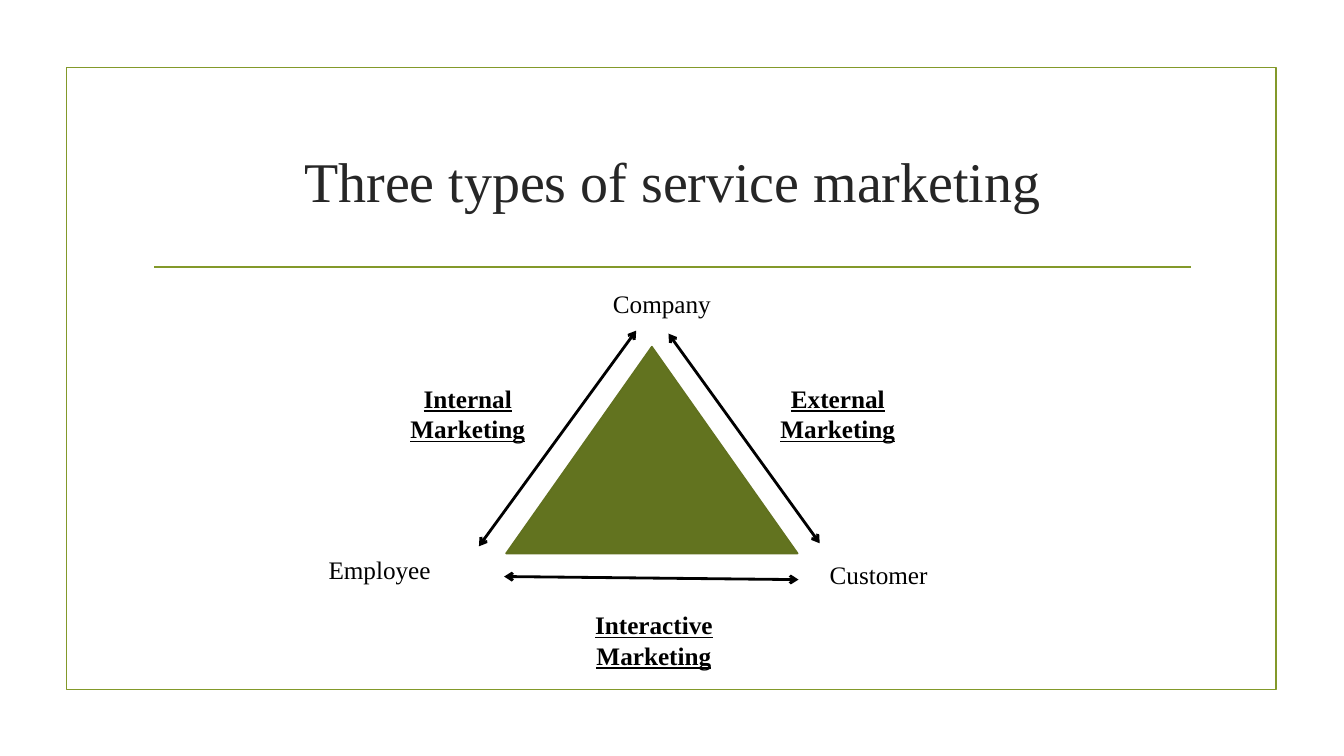
from lxml import etree
from pptx import Presentation
from pptx.dml.color import RGBColor
from pptx.enum.shapes import MSO_CONNECTOR, MSO_SHAPE
from pptx.enum.text import MSO_ANCHOR, PP_ALIGN
from pptx.oxml.ns import qn
from pptx.util import Inches, Pt

STRAIGHT = MSO_CONNECTOR.STRAIGHT
RECTANGLE = MSO_SHAPE.RECTANGLE
TRIANGLE = MSO_SHAPE.ISOSCELES_TRIANGLE
MIDDLE = MSO_ANCHOR.MIDDLE
CENTER, LEFT = PP_ALIGN.CENTER, PP_ALIGN.LEFT

FONT = "Times New Roman"
COLORS = {"accent": "83992A", "triangle": "62731F", "edge": "61711F",
          "title": "262626", "ink": "000000"}
TITLE = "Three types of service marketing"
PARTIES = [
    ("Company", 5.71, 2.81, 1.71, CENTER),
    ("Customer", 8.13, 5.5, 1.62, LEFT),
    ("Employee", 3.16, 5.45, 1.59, LEFT),
]
MARKETING_TYPES = [
    ("External Marketing", 7.43, 3.75, 1.76),
    ("Internal Marketing", 3.86, 3.75, 1.56),
    ("Interactive Marketing", 5.39, 6, 2.19),
]
ARROWS = [
    (6.63, 3.31, 8.13, 5.39),
    (6.31, 3.28, 4.75, 5.42),
    (5, 5.72, 7.92, 5.75),
]
PARTY_HEIGHT, TYPE_HEIGHT = 0.4, 0.71


def color(name):
    return RGBColor.from_string(COLORS[name])


def inches(*lengths):
    return [Inches(length) for length in lengths]


def set_font(para, size, ink):
    para.font.name = FONT
    para.font.size = Pt(size)
    para.font.color.rgb = color(ink)


def add_outline(page, kind, place, line, fill=None):
    shape = page.shapes.add_shape(kind, *inches(*place))
    shape.shadow.inherit = False
    if fill:
        shape.fill.solid()
        shape.fill.fore_color.rgb = color(fill)
    else:
        shape.fill.background()
    shape.line.color.rgb = color(line)
    shape.line.width = Pt(1.25)


def add_line(page, ends, ink, width, arrows=False):
    line = page.shapes.add_connector(STRAIGHT, *inches(*ends))
    line.line.color.rgb = color(ink)
    line.line.width = Pt(width)
    if arrows:
        outline = line.line._get_or_add_ln()
        for end in ("a:headEnd", "a:tailEnd"):
            etree.SubElement(outline, qn(end), type="arrow")
    etree.SubElement(line._element.spPr, qn("a:effectLst"))


def add_label(page, text, place, align, strong=False):
    box = page.shapes.add_textbox(*inches(*place))
    box.text_frame.word_wrap = True
    para = box.text_frame.paragraphs[0]
    para.text = text
    para.alignment = align
    set_font(para, 18, "ink")
    if strong:
        para.font.bold = True
        para.font.underline = True


def add_title(page):
    title = page.shapes.title
    title.left, title.top, title.width, title.height = inches(1.42, 1.07, 10.5, 1.43)
    title.text_frame.vertical_anchor = MIDDLE
    para = title.text_frame.paragraphs[0]
    para.text = TITLE
    para.alignment = CENTER
    set_font(para, 40, "title")


def main():
    deck = Presentation()
    deck.slide_width, deck.slide_height = inches(13.33, 7.5)
    page = deck.slides.add_slide(deck.slide_layouts.get_by_name("Title Only"))
    add_title(page)
    add_outline(page, RECTANGLE, (0.66, 0.67, 12, 6.17), "accent")
    add_line(page, (1.53, 2.65, 11.81, 2.65), "accent", 1.25)
    add_outline(page, TRIANGLE, (5.02, 3.44, 2.89, 2.05), "edge", "triangle")
    for ends in ARROWS:
        add_line(page, ends, "ink", 2, arrows=True)
    for text, left, top, width, align in PARTIES:
        add_label(page, text, (left, top, width, PARTY_HEIGHT), align)
    for text, left, top, width in MARKETING_TYPES:
        add_label(page, text, (left, top, width, TYPE_HEIGHT), CENTER, strong=True)
    deck.save("out.pptx")


if __name__ == "__main__":
    main()
